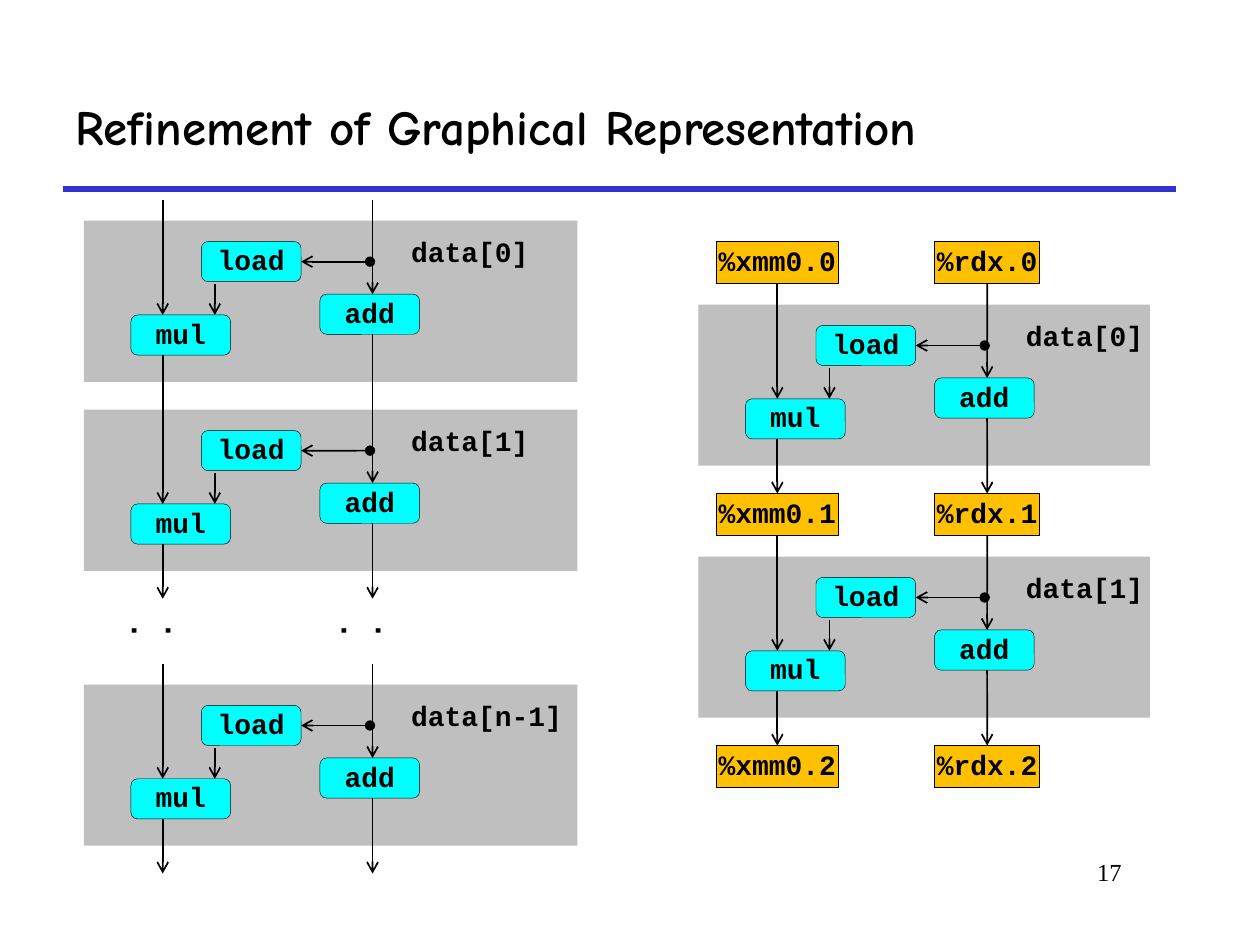
"""Build the slide on refining the graphical representation of a loop."""
import pptx
import pptx.dml.color
import pptx.enum.shapes
import pptx.enum.text
import pptx.oxml.ns
import pptx.util
import lxml.etree

Cm = pptx.util.Cm
Pt = pptx.util.Pt
RGBColor = pptx.dml.color.RGBColor
Shape = pptx.enum.shapes.MSO_SHAPE
Align = pptx.enum.text.PP_ALIGN
Anchor = pptx.enum.text.MSO_ANCHOR

BLACK = RGBColor(0x00, 0x00, 0x00)
BLUE = RGBColor(0x33, 0x33, 0xCC)
GREY = RGBColor(0xBF, 0xBF, 0xBF)
CYAN = RGBColor(0x00, 0xFF, 0xFF)
AMBER = RGBColor(0xFF, 0xC0, 0x00)

NODE_WIDTH, NODE_HEIGHT = 2.01, 0.81
BLOCK_HEIGHT = 3.25
PRODUCT_X, INDEX_X = 1.59, 5.82
ENTRY_Y, EXIT_Y = -0.42, 3.81
LEFT_X, RIGHT_X = 1.69, 14.08
STEP = 5.08
TOP, LEFT, BOTTOM, RIGHT = range(4)


class DataFlowPage:
    code_font = "Courier New"
    code_size = 16

    def __init__(self, page):
        self.page = page

    def add_span(self, frame, text, size, font, bold=True, align=Align.LEFT, spacing=None):
        frame.word_wrap = True
        para = frame.paragraphs[0]
        para.alignment = align
        para.line_spacing = spacing
        span = para.add_run()
        span.text = text
        span.font.name = font
        span.font.size = Pt(size)
        span.font.bold = bold
        span.font.color.rgb = BLACK

    def text(self, left, top, width, height, text, size, font, **style):
        box = self.page.shapes.add_textbox(Cm(left), Cm(top), Cm(width), Cm(height))
        self.add_span(box.text_frame, text, size, font, **style)
        return box

    def code(self, left, top, width, height, text, size=code_size):
        box = self.text(left, top, width, height, text, size, self.code_font, spacing=0.9)
        box.text_frame.auto_size = pptx.enum.text.MSO_AUTO_SIZE.SHAPE_TO_FIT_TEXT
        return box

    def dots(self, left, top):
        box = self.code(left, top, 1.22, 1.19, "..", 18)
        box.element.txBody.bodyPr.set("vert", "eaVert")

    def panel(self, left, top, width, height, fill, kind=Shape.RECTANGLE):
        box = self.page.shapes.add_shape(kind, Cm(left), Cm(top), Cm(width), Cm(height))
        box.shadow.inherit = False
        box.fill.solid()
        box.fill.fore_color.rgb = fill
        box.line.fill.background()
        return box

    def node(self, left, top, text, width=NODE_WIDTH, height=NODE_HEIGHT,
             fill=CYAN, kind=Shape.ROUNDED_RECTANGLE):
        box = self.panel(left, top, width, height, fill, kind)
        box.line.color.rgb = BLACK
        box.line.width = Pt(0.25)
        frame = box.text_frame
        frame.margin_left = frame.margin_top = frame.margin_right = frame.margin_bottom = 0
        frame.vertical_anchor = Anchor.MIDDLE
        self.add_span(frame, text, self.code_size, self.code_font,
                      align=Align.CENTER, spacing=0.9)
        return box

    def register(self, center, top, width, text):
        return self.node(center - width / 2, top, text, width, 0.85, AMBER, Shape.RECTANGLE)

    def line(self, x1, y1, x2, y2, color=BLACK, width=1, head=None, tail=None,
             begin=None, end=None):
        connector = self.page.shapes.add_connector(
            pptx.enum.shapes.MSO_CONNECTOR.STRAIGHT, Cm(x1), Cm(y1), Cm(x2), Cm(y2))
        connector.line.color.rgb = color
        connector.line.width = Pt(width)
        for tag, mark in (("a:headEnd", head), ("a:tailEnd", tail)):
            if mark:
                outline = connector.get_or_add_ln()
                lxml.etree.SubElement(outline, pptx.oxml.ns.qn(tag), type=mark)
        lxml.etree.SubElement(connector.element.spPr, pptx.oxml.ns.qn("a:effectLst"))
        if begin is not None:
            connector.begin_connect(begin, BOTTOM)
        if end is not None:
            connector.end_connect(*end)

    def iteration(self, left, top, width, label, label_width=3.07, exit_mark="arrow",
                  sources=(None, None), targets=(None, None)):
        self.panel(left, top, width, BLOCK_HEIGHT, GREY)
        load_y, add_y, mul_y = top + 0.42, top + 1.48, top + 1.9
        load = self.node(left + 2.37, load_y, "load")
        self.node(left + 0.95, mul_y, "mul")
        self.node(left + 4.76, add_y, "add")
        middle = load_y + NODE_HEIGHT / 2
        self.line(left + 5.77, middle, left + 4.38, middle,
                  head="oval", tail="arrow", end=(load, RIGHT))
        self.line(left + 2.64, top + 1.27, left + 2.64, mul_y, tail="arrow")
        lanes = ((PRODUCT_X, mul_y), (INDEX_X, add_y))
        for (offset, node_y), source, target in zip(lanes, sources, targets):
            lane = left + offset
            self.line(lane, top + ENTRY_Y, lane, node_y, tail="arrow", begin=source)
            self.line(lane, node_y + NODE_HEIGHT, lane, top + EXIT_Y, tail=exit_mark,
                      end=(target, TOP) if target else None)
        self.code(left + 6.35, top + 0.23, label_width, 0.88, label)


def main():
    deck = pptx.Presentation()
    deck.slide_width, deck.slide_height = Cm(25.4), Cm(19.05)
    flow = DataFlowPage(deck.slides.add_slide(deck.slide_layouts[6]))

    flow.line(1.27, 3.81, 23.7, 3.81, BLUE, 3)
    flow.text(19.25, 17.15, 3.61, 1.27, "17", 14, "Times New Roman",
              bold=False, align=Align.RIGHT)
    title = flow.text(1.27, 1.27, 22.43, 2.54, "Refinement of Graphical Representation",
                      28, "Comic Neue")
    title.text_frame.vertical_anchor = Anchor.MIDDLE

    registers = [
        (flow.register(RIGHT_X + PRODUCT_X, 4.87 + row * STEP, 2.46, f"%xmm0.{row}"),
         flow.register(RIGHT_X + INDEX_X, 4.87 + row * STEP, 2.12, f"%rdx.{row}"))
        for row in range(3)
    ]
    for row in range(2):
        flow.iteration(RIGHT_X, 6.14 + row * STEP, 9.1, f"data[{row}]",
                       sources=registers[row], targets=registers[row + 1])

    flow.iteration(LEFT_X, 4.45, 9.95, "data[0]", exit_mark=None)
    flow.iteration(LEFT_X, 8.26, 9.95, "data[1]")
    flow.iteration(LEFT_X, 13.8, 9.95, "data[n-1]", label_width=3.61)
    for offset in (PRODUCT_X, INDEX_X):
        flow.dots(LEFT_X + offset - 0.48, 12.27)

    deck.save("out.pptx")


if __name__ == "__main__":
    main()
